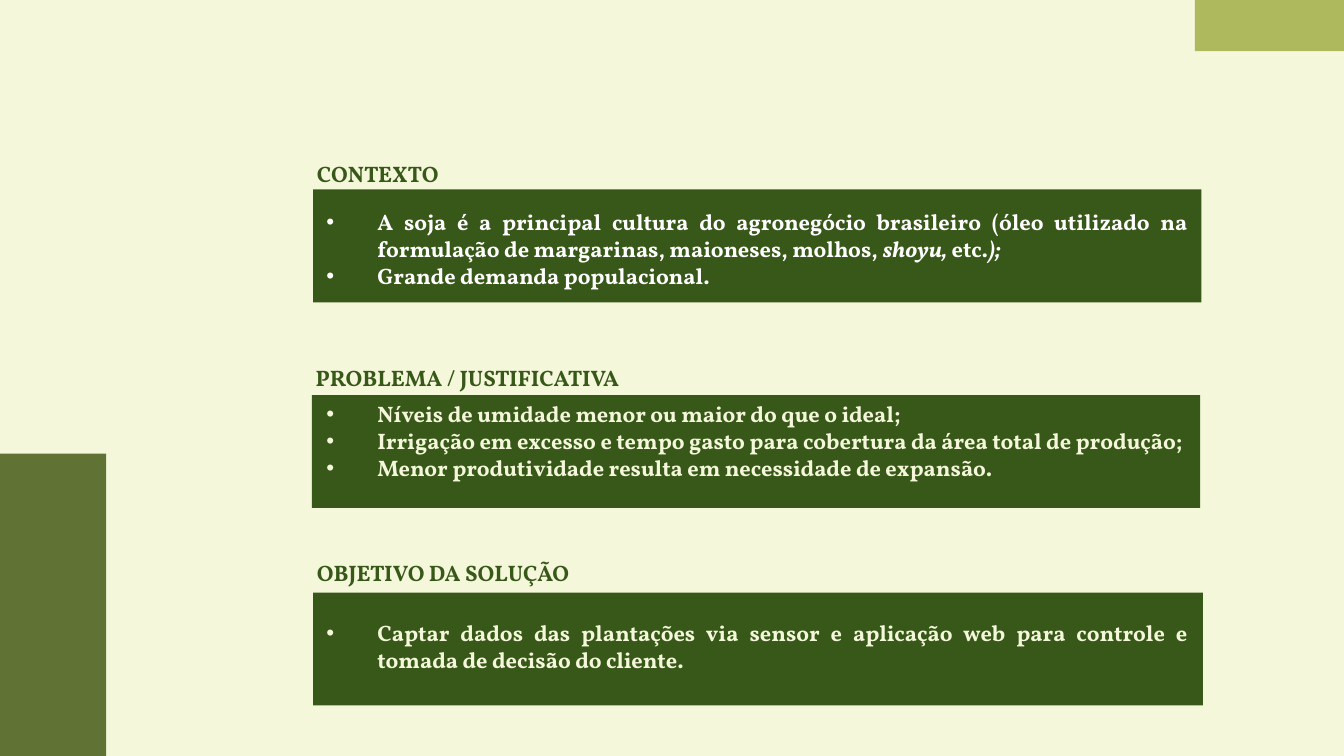
from dataclasses import dataclass

import pptx
import pptx.dml.color
import pptx.enum.shapes
import pptx.enum.text
import pptx.oxml
import pptx.oxml.ns
import pptx.util

Inches = pptx.util.Inches


@dataclass(frozen=True)
class Theme:
    """Colours, fonts and sizes of the slide."""
    cream: str = "F4F7DA"
    white: str = "FFFFFF"
    forest: str = "385819"
    olive: str = "324A00"
    lime: str = "7C8C03"
    font: str = "Vollkorn"
    bullet_font: str = "Arial"
    size: float = 12
    indent: float = 0.38


THEME = Theme()


def rgb(value):
    """Turn a hex string into a colour."""
    return pptx.dml.color.RGBColor.from_string(value)


def drawing_element(parent, tag, **attributes):
    """Append a DrawingML element with attributes and return it."""
    element = pptx.oxml.parse_xml(f"<a:{tag} {pptx.oxml.ns.nsdecls('a')}/>")
    for key, value in attributes.items():
        element.set(key, str(value))
    parent.append(element)
    return element


def add_block(slide, box, color, opacity=100):
    """Draw a plain rectangle, see-through when opacity is below 100."""
    block = slide.shapes.add_shape(
        pptx.enum.shapes.MSO_SHAPE.RECTANGLE, *map(Inches, box))
    block.shadow.inherit = False
    block.fill.solid()
    block.fill.fore_color.rgb = rgb(color)
    block.line.fill.background()
    if opacity < 100:
        fill_color = block._element.spPr.find(".//" + pptx.oxml.ns.qn("a:srgbClr"))
        drawing_element(fill_color, "alpha", val=opacity * 1000)


def add_bullet(paragraph, color):
    """Give a paragraph a coloured bullet and a hanging indent."""
    properties = paragraph._p.get_or_add_pPr()
    indent = Inches(THEME.indent)
    properties.set("marL", str(indent))
    properties.set("indent", str(-indent))
    bullet_color = drawing_element(properties, "buClr")
    drawing_element(bullet_color, "srgbClr", val=color)
    drawing_element(properties, "buFont", typeface=THEME.bullet_font)
    drawing_element(properties, "buChar", char="•")


def add_text(slide, box, paragraphs, color=THEME.forest, insets=(0.1, 0.1), bullets=False):
    """Write justified paragraphs, each a list of (text, italic) runs."""
    frame = slide.shapes.add_textbox(*map(Inches, box)).text_frame
    frame.word_wrap = True
    frame.vertical_anchor = pptx.enum.text.MSO_ANCHOR.TOP
    frame.margin_left = frame.margin_right = Inches(insets[0])
    frame.margin_top = frame.margin_bottom = Inches(insets[1])
    for index, runs in enumerate(paragraphs):
        paragraph = frame.add_paragraph() if index else frame.paragraphs[0]
        paragraph.alignment = pptx.enum.text.PP_ALIGN.JUSTIFY
        if bullets:
            add_bullet(paragraph, color)
        for words, italic in runs:
            run = paragraph.add_run()
            run.text = words
            run.font.name = THEME.font
            run.font.size = pptx.util.Pt(THEME.size)
            run.font.bold = True
            run.font.italic = italic
            run.font.color.rgb = rgb(color)


def add_section(slide, box, heading, points, color, heading_box, text_box):
    """Place a heading and bullet points, each (drop, width, height), on a dark panel."""
    left, top, _, _ = box
    heading_drop, *heading_size = heading_box
    text_drop, *text_size = text_box
    add_text(slide, (left - 0.07, top + heading_drop, *heading_size), [[(heading, False)]])
    add_block(slide, box, THEME.forest)
    add_text(slide, (2.33, top + text_drop, *text_size), points,
             color=color, insets=(0.1, 0.05), bullets=True)


def add_backdrop(slide, width, height):
    """Paint the background and the two corner blocks."""
    add_block(slide, (0, 0, width, height), THEME.cream)
    add_block(slide, (0, height - 2.25, 0.79, 2.25), THEME.olive, opacity=76)
    add_block(slide, (width - 1.11, 0, 1.11, 0.38), THEME.lime, opacity=58)


def main():
    """Build the slide and save it."""
    width = 10
    height = width * 9 / 16
    deck = pptx.Presentation()
    deck.slide_width, deck.slide_height = Inches(width), Inches(height)
    slide = deck.slides.add_slide(deck.slide_layouts[6])
    add_backdrop(slide, width, height)

    context = [
        [("A soja é a principal cultura do agronegócio brasileiro (óleo utilizado na "
          "formulação de margarinas, maioneses, molhos, ", False),
         ("shoyu, ", True), ("etc.", False), (");", True)],
        [("Grande demanda populacional. ", False)],
    ]
    problem = [[(point, False)] for point in (
        "Níveis de umidade menor ou maior do que o ideal;",
        "Irrigação em excesso e tempo gasto para cobertura da área total de produção;",
        "Menor produtividade resulta em necessidade de expansão.",
    )]
    goal = [[("Captar dados das plantações via sensor e aplicação web para controle e "
              "tomada de decisão do cliente.", False)]]

    add_section(slide, (2.33, 1.41, 6.61, 0.84), "CONTEXTO", context, THEME.white,
                heading_box=(-0.32, 1.18, 0.33), text_box=(0.09, 6.61, 0.94))
    add_section(slide, (2.32, 2.94, 6.61, 0.84), "PROBLEMA / JUSTIFICATIVA", problem,
                THEME.cream,
                heading_box=(-0.33, 2.69, 0.32), text_box=(-0.01, 6.61, 1.14))
    add_section(slide, (2.33, 4.41, 6.62, 0.84), "OBJETIVO DA SOLUÇÃO", goal, THEME.cream,
                heading_box=(-0.35, 2.29, 0.34), text_box=(0.15, 6.61, 0.74))
    deck.save("out.pptx")


if __name__ == "__main__":
    main()
